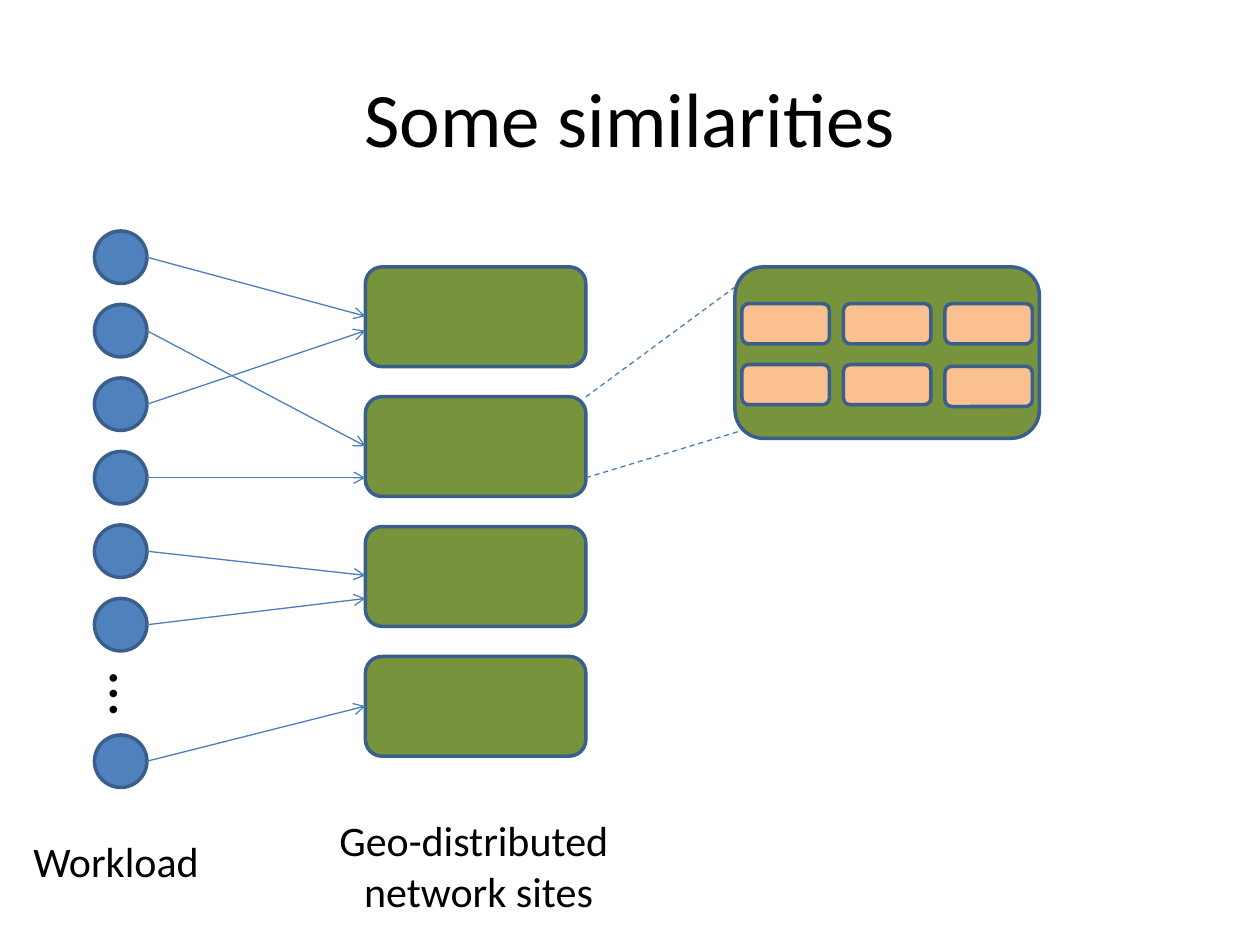
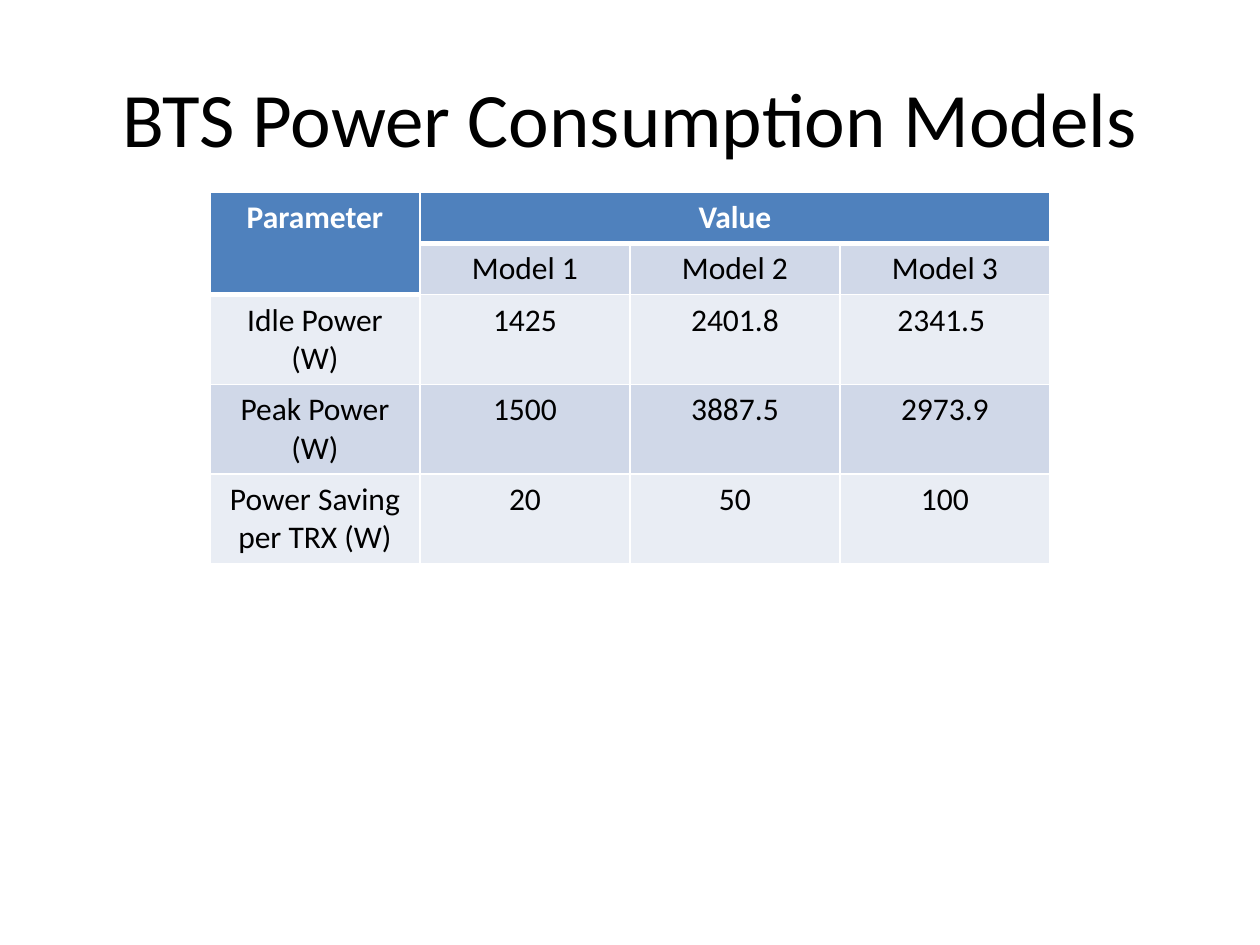
from dataclasses import dataclass

from lxml.etree import SubElement as Sub
from pptx import Presentation
from pptx.dml.color import RGBColor
from pptx.enum.dml import MSO_LINE as Dash
from pptx.enum.shapes import MSO_CONNECTOR as Link, MSO_SHAPE as Form
from pptx.enum.text import MSO_ANCHOR as Anchor, MSO_AUTO_SIZE as Fit, PP_ALIGN as Align
from pptx.oxml.ns import qn
from pptx.slide import Slide
from pptx.util import Pt

FONT = "Calibri"
BLACK, WHITE = "000000", "FFFFFF"
BLUE, EDGE, WIRE = "4F81BD", "3A5F8C", "4B7EBC"
GREEN, PEACH = "77933C", "FAC090"
BANDS = ("E9EDF4", "D0D8E8")


@dataclass
class Box:
    x: float
    y: float
    w: float
    h: float

    def size(self) -> tuple:
        return Pt(self.x), Pt(self.y), Pt(self.w), Pt(self.h)


@dataclass
class Node:
    box: Box
    form: Form
    fill: str


@dataclass
class Wire:
    x1: float
    y1: float
    x2: float
    y2: float
    dash: bool = False


@dataclass
class Label:
    box: Box
    lines: tuple
    size: int = 24
    align: Align = Align.LEFT
    turn: int = 0


def tint(code: str) -> RGBColor:
    return RGBColor.from_string(code)


def write(para, text: str, size: int, align: Align, color: str = BLACK, bold: bool = False) -> None:
    para.alignment = align
    run = para.add_run()
    run.text = text
    font = run.font
    font.name, font.size, font.bold = FONT, Pt(size), bold
    font.color.rgb = tint(color)


def add_title(slide: Slide, text: str) -> None:
    frame = slide.shapes.add_textbox(*Box(36, 21.6, 648, 90).size()).text_frame
    frame.word_wrap = True
    frame.vertical_anchor = Anchor.MIDDLE
    write(frame.paragraphs[0], text, 44, Align.CENTER)


def add_label(slide: Slide, label: Label) -> None:
    shape = slide.shapes.add_textbox(*label.box.size())
    shape.rotation = label.turn
    frame = shape.text_frame
    frame.word_wrap = False
    frame.auto_size = Fit.SHAPE_TO_FIT_TEXT
    for i, line in enumerate(label.lines):
        para = frame.add_paragraph() if i else frame.paragraphs[0]
        write(para, line, label.size, label.align)


def add_node(slide: Slide, node: Node) -> None:
    shape = slide.shapes.add_shape(node.form, *node.box.size())
    shape.shadow.inherit = False
    shape.fill.solid()
    shape.fill.fore_color.rgb = tint(node.fill)
    shape.line.color.rgb = tint(EDGE)
    shape.line.width = Pt(2)


def add_wire(slide: Slide, wire: Wire) -> None:
    ends = (Pt(v) for v in (wire.x1, wire.y1, wire.x2, wire.y2))
    link = slide.shapes.add_connector(Link.STRAIGHT, *ends)
    link.line.color.rgb = tint(WIRE)
    link.line.width = Pt(0.75)
    if wire.dash:
        link.line.dash_style = Dash.DASH
    else:
        Sub(link.line._ln, qn("a:tailEnd"), type="arrow")
    Sub(link._element.spPr, qn("a:effectLst"))


def draw_sites(slide: Slide) -> None:
    add_title(slide, "Some similarities")

    tops = [132 + 42 * i for i in range(6)] + [420]
    for top in tops:
        add_node(slide, Node(Box(54, top, 30, 30), Form.OVAL, BLUE))
    for i in range(4):
        add_node(slide, Node(Box(208.8, 152.5 + 74.2 * i, 126, 57), Form.ROUNDED_RECTANGLE, GREEN))

    goals = (180.7, 255, 189, 273, 328.8, 342, 403.5)
    for top, goal in zip(tops, goals):
        add_wire(slide, Wire(84, top + 15, 208.8, goal))

    add_node(slide, Node(Box(420, 152.5, 174, 98), Form.ROUNDED_RECTANGLE, GREEN))
    for row in range(2):
        for col in range(3):
            drop = 1 if (row, col) == (1, 2) else 0
            box = Box(424 + 58 * col, 173.5 + 34.8 * row + drop, 50, 23)
            add_node(slide, Node(box, Form.ROUNDED_RECTANGLE, PEACH))
    add_wire(slide, Wire(334.8, 226.8, 420, 164, True))
    add_wire(slide, Wire(334.8, 273, 424, 246, True))

    for label in (
        Label(Box(57.6, 371.5, 39.6, 51), ("…",), 36, turn=90),
        Label(Box(12, 474, 110, 36), ("Workload",)),
        Label(Box(186, 462, 175, 65.5), ("Geo-distributed ", "network sites"), align=Align.CENTER),
    ):
        add_label(slide, label)


def is_head(row: int, col: int) -> bool:
    return row == 0 or (row, col) == (1, 0)


def add_edge(cell, side: str, width: float) -> None:
    line = Sub(cell._tc.get_or_add_tcPr(), qn(f"a:ln{side}"), w=str(Pt(width)))
    Sub(Sub(line, qn("a:solidFill")), qn("a:srgbClr"), val=WHITE)


def draw_power(slide: Slide) -> None:
    add_title(slide, "BTS Power Consumption Models")
    rows = (
        ("Parameter", "Value", "", ""),
        ("", "Model 1", "Model 2", "Model 3"),
        ("Idle Power (W)", "1425", "2401.8", "2341.5 "),
        ("Peak Power (W)", "1500", "3887.5", "2973.9"),
        ("Power Saving per TRX (W)", "20", "50", "100"),
    )
    table = slide.shapes.add_table(5, 4, *Box(120, 110, 480, 212).size()).table
    table.first_row = table.horz_banding = False
    for i, row in enumerate(rows):
        table.rows[i].height = Pt(29.2 if i < 2 else 51.2)
        for j, text in enumerate(row):
            cell = table.cell(i, j)
            head = is_head(i, j)
            under = i > 0 and is_head(i - 1, j) and not head
            for side, width in (("L", 1), ("R", 1), ("T", 3 if under else 1), ("B", 3 if head else 1)):
                add_edge(cell, side, width)
            cell.fill.solid()
            cell.fill.fore_color.rgb = tint(BLUE if head else BANDS[i % 2])
            if text:
                para = cell.text_frame.paragraphs[0]
                write(para, text, 18, Align.CENTER, WHITE if head else BLACK, head)
    table.cell(0, 0).merge(table.cell(1, 0))
    table.cell(0, 1).merge(table.cell(0, 3))


def main() -> None:
    deck = Presentation()
    deck.slide_width, deck.slide_height = Pt(720), Pt(540)
    for draw in (draw_sites, draw_power):
        draw(deck.slides.add_slide(deck.slide_layouts[6]))
    deck.save("out.pptx")


if __name__ == "__main__":
    main()
